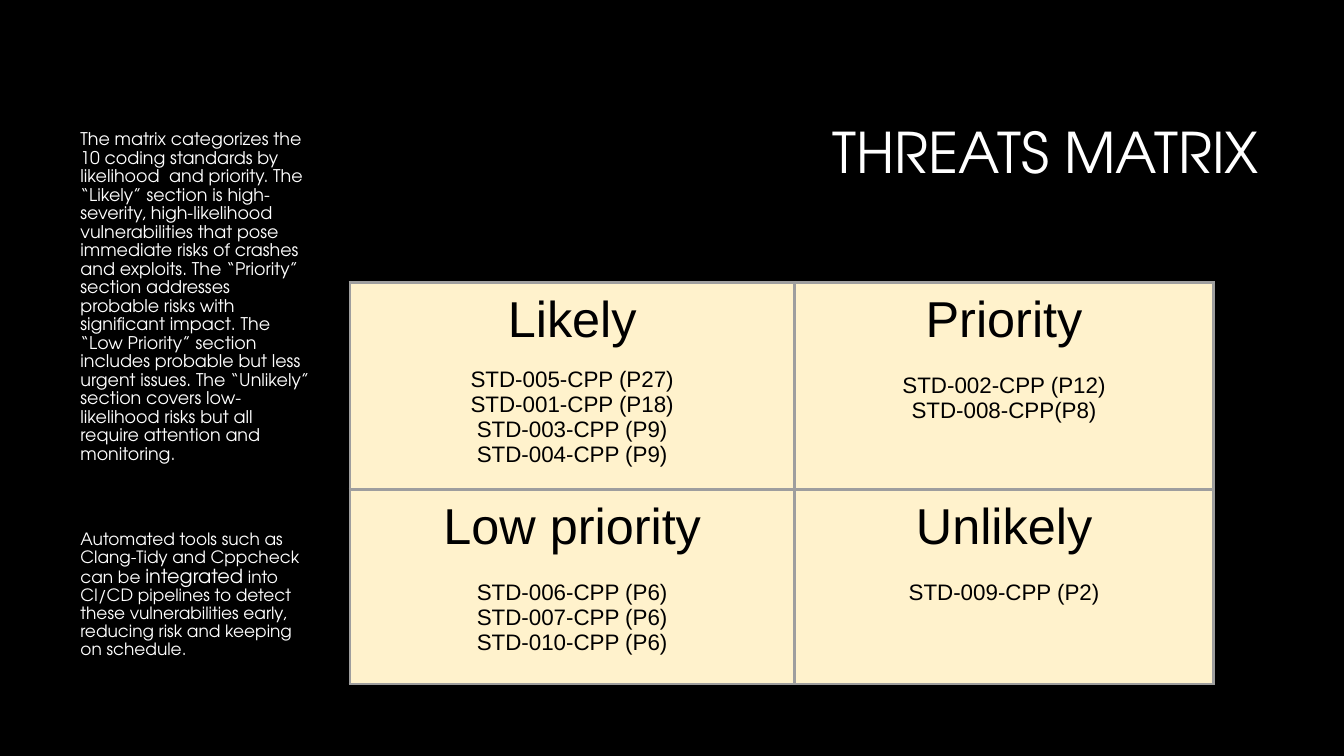
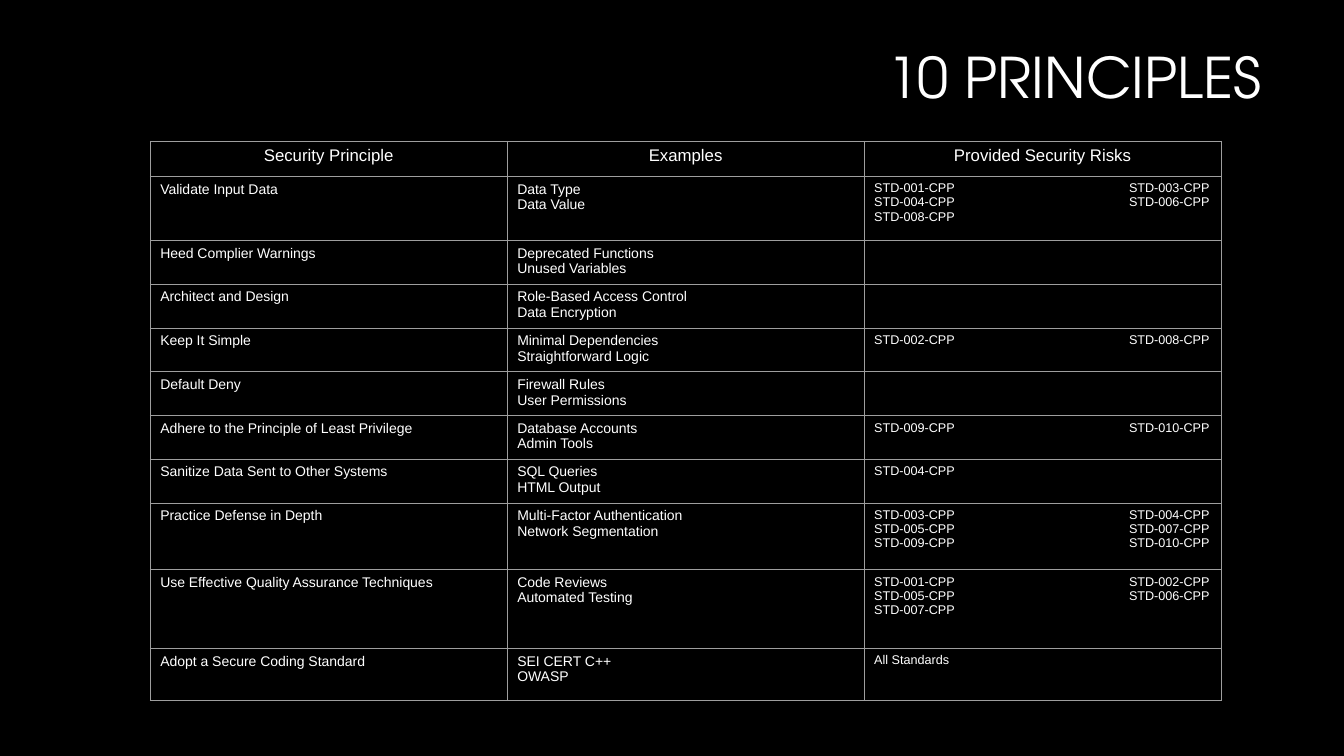
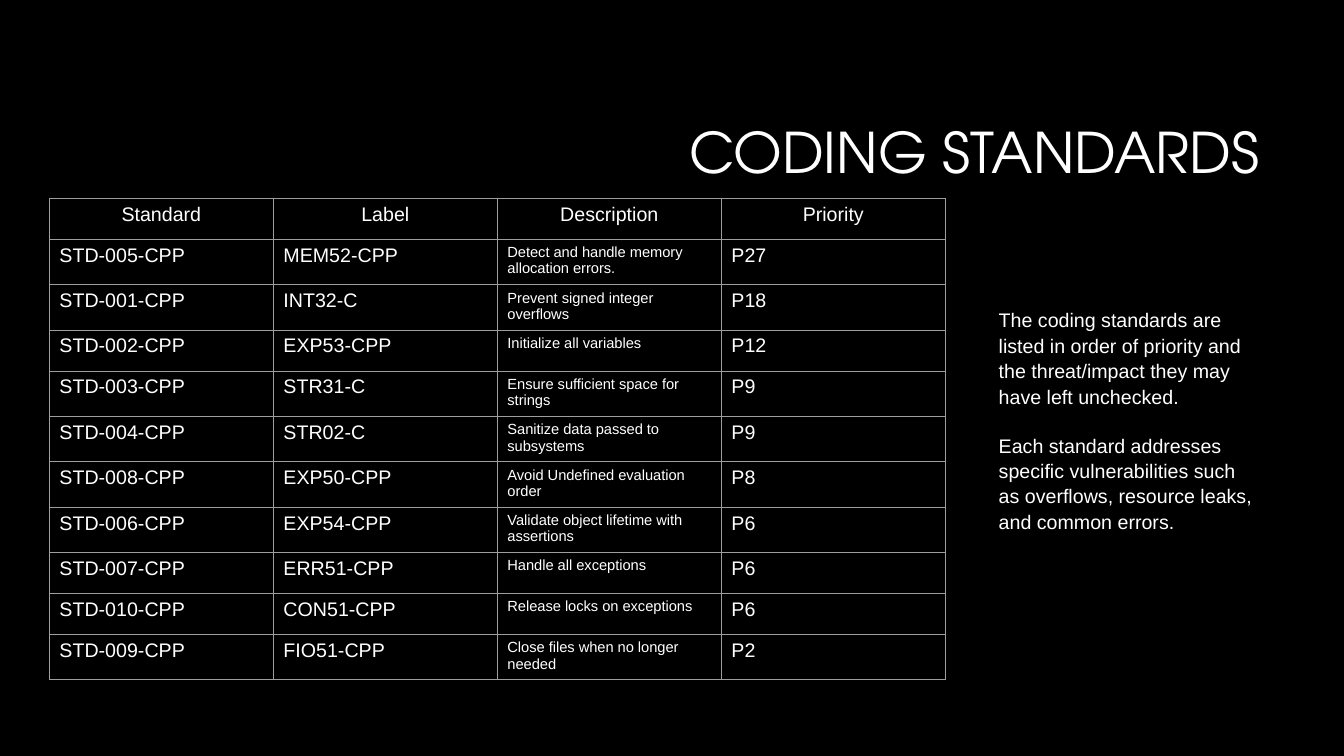
"""Build three slides on coding threats, security principles and coding standards."""
from lxml import etree
from pptx import Presentation
from pptx.dml.color import RGBColor
from pptx.enum.text import MSO_ANCHOR, PP_ALIGN
from pptx.oxml.ns import qn
from pptx.util import Pt

LEFT, CENTER, RIGHT = PP_ALIGN.LEFT, PP_ALIGN.CENTER, PP_ALIGN.RIGHT
MIDDLE = MSO_ANCHOR.MIDDLE
BLACK, WHITE, CREAM, GREY = "000000", "FFFFFF", "FFF2CC", "9E9E9E"
DISPLAY, BODY = "TeX Gyre Adventor", "Arial"
CODE_TAB = 182

MATRIX_NOTES = [
    ((32.4, 90, 196, 255.6), [
        ("The matrix categorizes the 10 coding standards by likelihood  and priority. "
         "The “Likely” section is high-severity, high-likelihood vulnerabilities that pose "
         "immediate risks of crashes and exploits. The “Priority” section addresses probable "
         "risks with significant impact. The “Low Priority” section includes probable but less "
         "urgent issues. The “Unlikely” section covers low-likelihood risks but all require "
         "attention and monitoring.", 12.5)]),
    ((32.4, 375.8, 196, 102.2), [
        ("Automated tools such as Clang-Tidy and Cppcheck can be ", 12.1),
        ("integrated", 13.8),
        (" into CI/CD pipelines to detect these vulnerabilities early, reducing risk and "
         "keeping on schedule.", 12.1)]),
]
MATRIX = [
    [("Likely", 13.4, ["STD-005-CPP (P27)", "STD-001-CPP (P18)",
                       "STD-003-CPP (P9)", "STD-004-CPP (P9)"]),
     ("Priority", 17.9, ["STD-002-CPP (P12)", "STD-008-CPP(P8)"])],
    [("Low priority", 17.9, ["STD-006-CPP (P6)", "STD-007-CPP (P6)", "STD-010-CPP (P6)"]),
     ("Unlikely", 17.9, ["STD-009-CPP (P2)"])],
]
PRINCIPLES = [
    ("Security Principle", "Examples", "Provided Security Risks"),
    ("Validate Input Data", "Data Type\nData Value",
     "STD-001-CPP\tSTD-003-CPP\nSTD-004-CPP\tSTD-006-CPP\nSTD-008-CPP"),
    ("Heed Complier Warnings", "Deprecated Functions\nUnused Variables", ""),
    ("Architect and Design", "Role-Based Access Control\nData Encryption", ""),
    ("Keep It Simple", "Minimal Dependencies\nStraightforward Logic", "STD-002-CPP\tSTD-008-CPP"),
    ("Default Deny", "Firewall Rules\nUser Permissions", ""),
    ("Adhere to the Principle of Least Privilege", "Database Accounts\nAdmin Tools",
     "STD-009-CPP\tSTD-010-CPP"),
    ("Sanitize Data Sent to Other Systems", "SQL Queries\nHTML Output", "STD-004-CPP"),
    ("Practice Defense in Depth", "Multi-Factor Authentication\nNetwork Segmentation",
     "STD-003-CPP\tSTD-004-CPP\nSTD-005-CPP\tSTD-007-CPP\nSTD-009-CPP\tSTD-010-CPP"),
    ("Use Effective Quality Assurance Techniques", "Code Reviews\nAutomated Testing",
     "STD-001-CPP\tSTD-002-CPP\nSTD-005-CPP\tSTD-006-CPP\nSTD-007-CPP"),
    ("Adopt a Secure Coding Standard", "SEI CERT C++\nOWASP", "All Standards"),
]
PRINCIPLE_HEIGHTS = [25, 45.8] + [29.5] * 6 + [47.5, 56.3, 37]
STANDARDS = [
    ("Standard", "Label", "Description", "Priority"),
    ("STD-005-CPP", "MEM52-CPP", "Detect and handle memory allocation errors.", "P27"),
    ("STD-001-CPP", "INT32-C", "Prevent signed integer overflows", "P18"),
    ("STD-002-CPP", "EXP53-CPP", "Initialize all variables", "P12"),
    ("STD-003-CPP", "STR31-C", "Ensure sufficient space for strings", "P9"),
    ("STD-004-CPP", "STR02-C", "Sanitize data passed to subsystems", "P9"),
    ("STD-008-CPP", "EXP50-CPP", "Avoid Undefined evaluation order", "P8"),
    ("STD-006-CPP", "EXP54-CPP", "Validate object lifetime with assertions", "P6"),
    ("STD-007-CPP", "ERR51-CPP", "Handle all exceptions", "P6"),
    ("STD-010-CPP", "CON51-CPP", "Release locks on exceptions", "P6"),
    ("STD-009-CPP", "FIO51-CPP", "Close files when no longer needed", "P2"),
]
STANDARDS_NOTE = (
    "The coding standards are listed in order of priority and the threat/impact they may have "
    "left unchecked.\nEach standard addresses specific vulnerabilities such as overflows, "
    "resource leaks, and common errors.")


def color(value):
    return RGBColor.from_string(value)


def style(para, size, face=BODY, tint=WHITE, align=LEFT, spacing=None):
    para.alignment = align
    if spacing:
        para.line_spacing = spacing
    for span in para.runs:
        span.font.size = Pt(size)
        span.font.name = face
        span.font.color.rgb = color(tint)


def add_box(page, place):
    frame = page.shapes.add_textbox(*map(Pt, place)).text_frame
    frame.word_wrap = True
    return frame


def add_page(deck, title, left=228.2, top=60.5):
    page = deck.slides.add_slide(deck.slide_layouts[6])
    frame = add_box(page, (left, top, 678.2, 101.5))
    frame.vertical_anchor = MIDDLE
    frame.text = title
    style(frame.paragraphs[0], 40, DISPLAY, align=RIGHT, spacing=0.9)
    return page


def add_border(cell, width):
    properties = cell._tc.get_or_add_tcPr()
    for side in ("lnL", "lnR", "lnT", "lnB"):
        line = etree.SubElement(properties, qn("a:" + side), w=str(Pt(width)))
        paint = etree.SubElement(line, qn("a:solidFill"))
        etree.SubElement(paint, qn("a:srgbClr"), val=GREY)


def add_grid(page, left, top, widths, heights, fill, border):
    place = map(Pt, (left, top, sum(widths), sum(heights)))
    table = page.shapes.add_table(len(heights), len(widths), *place).table
    table.first_row = table.horz_banding = False
    for column, width in zip(table.columns, widths):
        column.width = Pt(width)
    for row, height in zip(table.rows, heights):
        row.height = Pt(height)
    for cell in table.iter_cells():
        add_border(cell, border)
        cell.fill.solid()
        cell.fill.fore_color.rgb = color(fill)
    return table


def add_tab(para, position):
    tabs = etree.SubElement(para._p.get_or_add_pPr(), qn("a:tabLst"))
    etree.SubElement(tabs, qn("a:tab"), pos=str(Pt(position)), algn="l")


def fill_rows(table, rows, header_size, sizes):
    for number, row in enumerate(rows):
        for column, text in enumerate(row):
            frame = table.cell(number, column).text_frame
            frame.text = text
            for para in frame.paragraphs:
                if "\t" in para.text:
                    add_tab(para, CODE_TAB)
                if number:
                    style(para, sizes[column])
                else:
                    style(para, header_size, align=CENTER)


def build_matrix(deck):
    page = add_page(deck, "THREATS MATRIX")
    for place, pieces in MATRIX_NOTES:
        para = add_box(page, place).paragraphs[0]
        para._p.get_or_add_pPr().set("marL", str(Pt(18)))
        for text, size in pieces:
            para.add_run().text = text
        style(para, size, DISPLAY, spacing=0.88)
        for span, (text, size) in zip(para.runs, pieces):
            span.font.size = Pt(size)
    table = add_grid(page, 250, 201.6, [317.5, 299.5], [139.2] * 2, CREAM, 2.25)
    for number, row in enumerate(MATRIX):
        for column, (heading, gap, codes) in enumerate(row):
            cell = table.cell(number, column)
            cell.margin_top = cell.margin_bottom = Pt(7.2)
            cell.text_frame.text = "\n".join([heading] + codes)
            first, *items = cell.text_frame.paragraphs
            style(first, 36, tint=BLACK, align=CENTER)
            for para in items:
                style(para, 16, tint=BLACK, align=CENTER)
            items[0].space_before = Pt(gap)


def build_principles(deck):
    page = add_page(deck, "10 PRINCIPLES", 229.7, 6.5)
    table = add_grid(page, 107.3, 101, [255] * 3, PRINCIPLE_HEIGHTS, BLACK, 0.75)
    fill_rows(table, PRINCIPLES, 12, (10, 10, 9))


def build_standards(deck):
    page = add_page(deck, "CODING STANDARDS")
    table = add_grid(page, 35.3, 141.7, [160] * 4, [29.3] * len(STANDARDS), BLACK, 0.75)
    fill_rows(table, STANDARDS, 14, (14, 14, 10.5, 14))
    frame = add_box(page, (706.3, 215.3, 199.4, 159.8))
    frame.text = STANDARDS_NOTE
    for para in frame.paragraphs:
        style(para, 14, spacing=1.08)
    frame.paragraphs[1].space_before = Pt(16.9)


def main():
    deck = Presentation()
    deck.slide_width, deck.slide_height = Pt(960), Pt(540)
    backdrop = deck.slide_master.background.fill
    backdrop.solid()
    backdrop.fore_color.rgb = color(BLACK)
    build_matrix(deck)
    build_principles(deck)
    build_standards(deck)
    deck.save("out.pptx")


if __name__ == "__main__":
    main()
